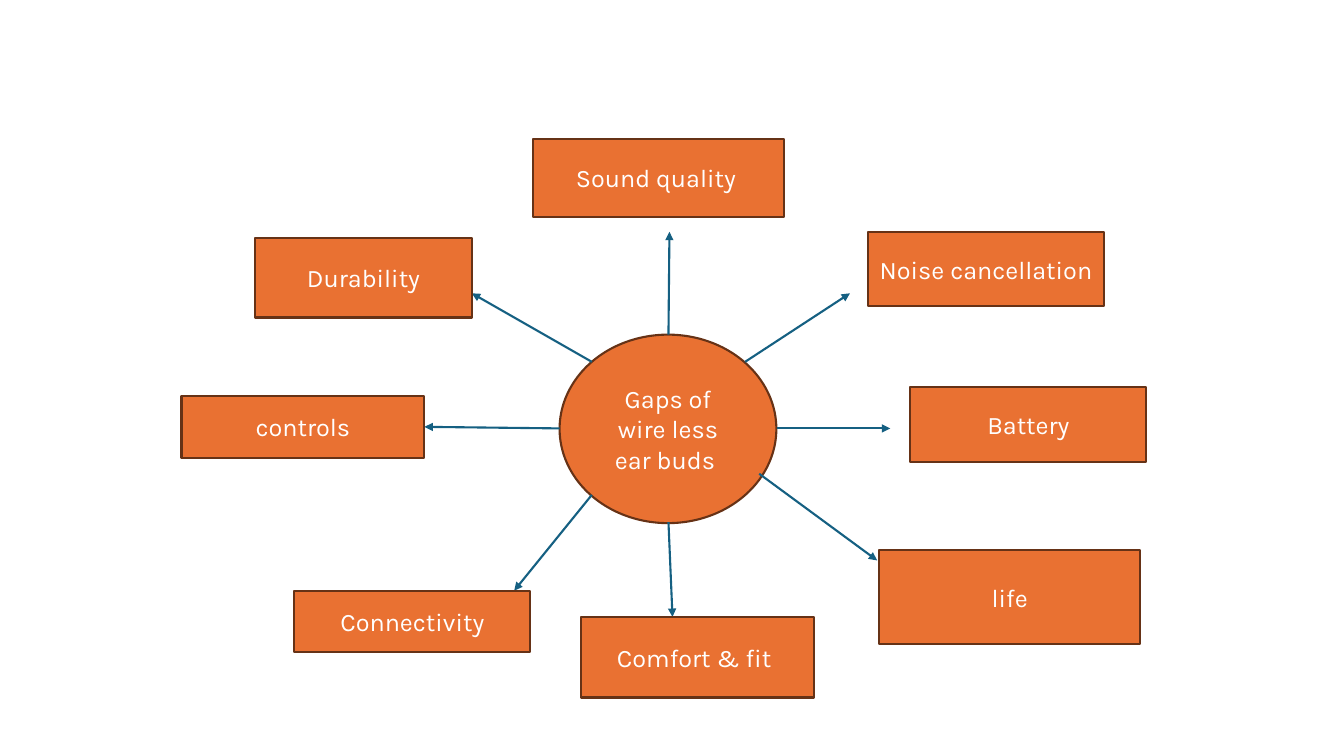
import pptx
import pptx.dml.color
import pptx.enum.shapes
import pptx.enum.text
import pptx.oxml.ns
import pptx.util
from lxml import etree

Inches = pptx.util.Inches
Pt = pptx.util.Pt
RGBColor = pptx.dml.color.RGBColor
qn = pptx.oxml.ns.qn
KIND = pptx.enum.shapes.MSO_SHAPE

ORANGE = RGBColor(0xE9, 0x71, 0x32)
BROWN = RGBColor(0x66, 0x32, 0x16)
TEAL = RGBColor(0x15, 0x60, 0x82)
WHITE = RGBColor(0xFF, 0xFF, 0xFF)

# Label, box (left, top, width, height), arrow (from x, from y, to x, to y)
GAPS = [
    ("Sound quality ", (5.29, 1.38, 2.49, 0.77), (6.63, 3.32, 6.64, 2.3)),
    ("Noise cancellation", (8.61, 2.3, 2.34, 0.74), (7.39, 3.59, 8.43, 2.91)),
    ("Battery", (9.03, 3.84, 2.34, 0.74), (7.71, 4.25, 8.83, 4.25)),
    ("life", (8.72, 5.46, 2.59, 0.93), (7.53, 4.7, 8.7, 5.56)),
    ("Comfort & fit ", (5.76, 6.12, 2.31, 0.8), (6.63, 5.18, 6.67, 6.12)),
    ("Connectivity", (2.92, 5.86, 2.34, 0.61), (5.87, 4.91, 5.1, 5.86)),
    ("controls", (1.8, 3.93, 2.41, 0.61), (5.55, 4.25, 4.22, 4.25)),
    ("Durability", (2.53, 2.36, 2.15, 0.79), (5.87, 3.59, 4.68, 2.91)),
]

deck = pptx.Presentation()
deck.slide_width = Inches(13.33)
deck.slide_height = Inches(7.5)
slide = deck.slides.add_slide(deck.slide_layouts[6])


def add_node(kind, label, place):
    """Add an orange shape with a centred white label."""
    node = slide.shapes.add_shape(kind, *map(Inches, place))
    node.shadow.inherit = False
    node.fill.solid()
    node.fill.fore_color.rgb = ORANGE
    node.line.color.rgb = BROWN
    node.line.width = Pt(1.5)
    frame = node.text_frame
    frame.text = label
    frame.word_wrap = True
    frame.vertical_anchor = pptx.enum.text.MSO_ANCHOR.MIDDLE
    para = frame.paragraphs[0]
    para.alignment = pptx.enum.text.PP_ALIGN.CENTER
    font = para.runs[0].font
    font.name = "Karla"
    font.size = Pt(18)
    font.color.rgb = WHITE
    return node


def add_arrow(ends):
    arrow = slide.shapes.add_connector(
        pptx.enum.shapes.MSO_CONNECTOR.STRAIGHT, *map(Inches, ends))
    arrow.line.color.rgb = TEAL
    arrow.line.width = Pt(1.5)
    etree.SubElement(arrow.line._get_or_add_ln(), qn("a:tailEnd"), type="triangle")
    etree.SubElement(arrow._element.spPr, qn("a:effectLst"))
    return arrow


add_node(KIND.OVAL, "Gaps of wire less ear buds ", (5.55, 3.32, 2.15, 1.87))

arrows = {label: add_arrow(ends) for label, place, ends in GAPS}
boxes = {label: add_node(KIND.RECTANGLE, label, place) for label, place, ends in GAPS}

arrows["controls"].end_connect(boxes["controls"], 3)

deck.save("out.pptx")
